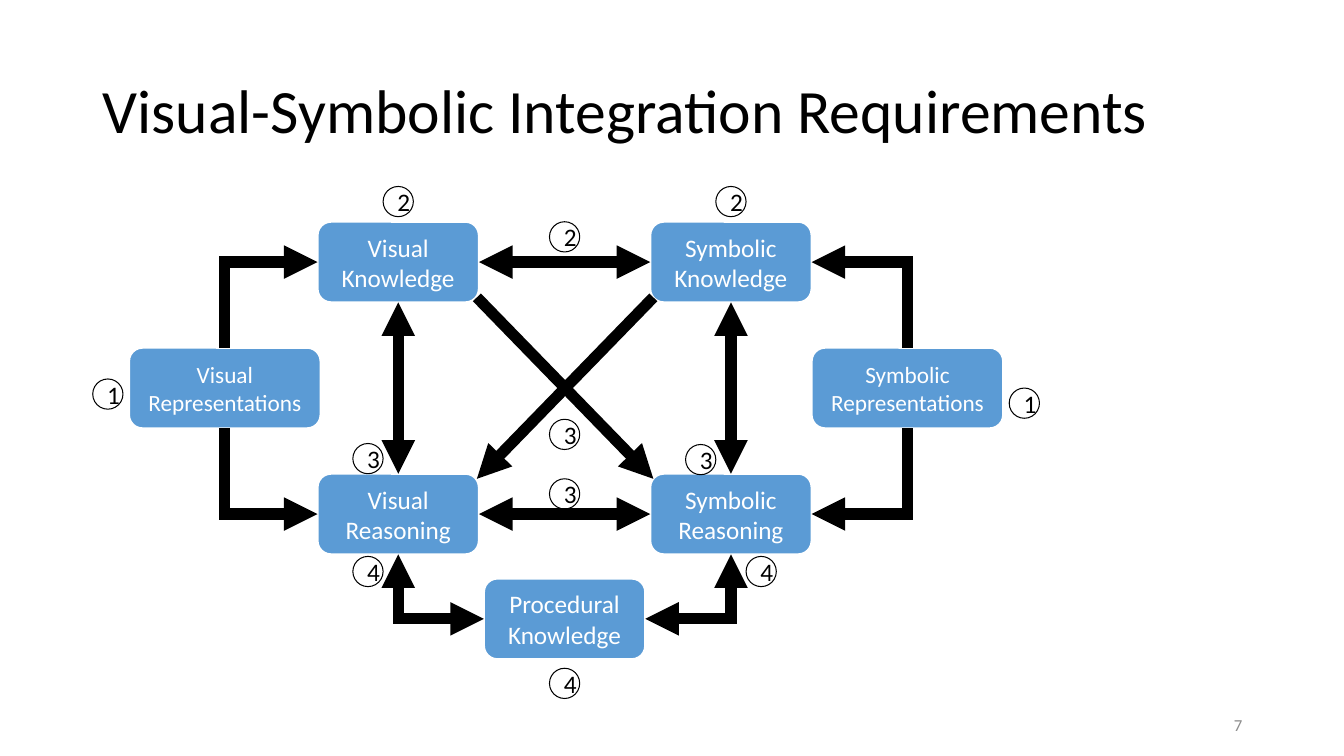
import pptx
import pptx.util
import pptx.dml.color
import pptx.enum.shapes
import pptx.enum.text
import pptx.oxml
import pptx.oxml.ns

SHAPE = pptx.enum.shapes.MSO_SHAPE
CONNECTOR = pptx.enum.shapes.MSO_CONNECTOR
ALIGN = pptx.enum.text.PP_ALIGN
TOP, LEFT, BOTTOM, RIGHT = range(4)


class Diagram:
    EMU_PER_PX = 9144
    FONT = "Calibri"
    COLORS = {"ink": "000000", "paper": "FFFFFF", "box": "5B9BD5", "number": "8C8C8C"}

    def __init__(self, width, height):
        self.deck = pptx.Presentation()
        self.deck.slide_width = self.px(width)
        self.deck.slide_height = self.px(height)
        self.slide = self.deck.slides.add_slide(self.deck.slide_layouts[5])

    def px(self, length):
        return pptx.util.Emu(length * self.EMU_PER_PX)

    def color(self, name):
        return pptx.dml.color.RGBColor.from_string(self.COLORS[name])

    def label(self, frame, text, size, color, align):
        frame.word_wrap = True
        frame.vertical_anchor = pptx.enum.text.MSO_ANCHOR.MIDDLE
        frame.text = text
        paragraph = frame.paragraphs[0]
        paragraph.alignment = align
        paragraph.font.name = self.FONT
        paragraph.font.size = pptx.util.Pt(size)
        paragraph.font.color.rgb = self.color(color)
        return paragraph

    def title(self, text, left, top, width, height):
        heading = self.slide.shapes.title
        heading.left, heading.top = self.px(left), self.px(top)
        heading.width, heading.height = self.px(width), self.px(height)
        heading.text_frame.auto_size = pptx.enum.text.MSO_AUTO_SIZE.NONE
        self.label(heading.text_frame, text, 44, "ink", ALIGN.LEFT).line_spacing = 0.9

    def page_number(self, text, left, top, width, height):
        number = self.slide.shapes.add_textbox(*map(self.px, (left, top, width, height)))
        self.label(number.text_frame, text, 12, "number", ALIGN.RIGHT)

    def shape(self, kind, left, top, width, height, line, line_width):
        shape = self.slide.shapes.add_shape(kind, *map(self.px, (left, top, width, height)))
        shape.shadow.inherit = False
        shape.line.color.rgb = self.color(line)
        shape.line.width = pptx.util.Pt(line_width)
        return shape

    def box(self, text, left, top, width=160, size=18):
        box = self.shape(SHAPE.ROUNDED_RECTANGLE, left, top, width, 80, "paper", 1.5)
        box.fill.solid()
        box.fill.fore_color.rgb = self.color("box")
        self.label(box.text_frame, text, size, "paper", ALIGN.CENTER)
        return box

    def badge(self, text, left, top):
        badge = self.shape(SHAPE.OVAL, left, top, 30, 30, "ink", 0.75)
        badge.fill.background()
        self.label(badge.text_frame, text, 18, "ink", ALIGN.CENTER)

    def connector(self, kind, ends, *arrows):
        connector = self.slide.shapes.add_connector(kind, *map(self.px, ends))
        connector.line.color.rgb = self.color("ink")
        connector.line.width = pptx.util.Pt(8)
        namespace = pptx.oxml.ns.nsdecls("a")
        outline = connector.line._get_or_add_ln()
        outline.append(pptx.oxml.parse_xml(f'<a:miter {namespace} lim="800000"/>'))
        for arrow in arrows:
            outline.append(pptx.oxml.parse_xml(f'<a:{arrow} {namespace} type="triangle"/>'))
        connector._element.spPr.append(pptx.oxml.parse_xml(f"<a:effectLst {namespace}/>"))
        return connector

    def link(self, kind, start, start_side, end, end_side, *arrows):
        connector = self.connector(kind, (0, 0, 0, 0), *arrows)
        connector.begin_connect(start, start_side)
        connector.end_connect(end, end_side)
        return connector

    def both_ways(self, start, start_side, end, end_side):
        self.link(CONNECTOR.STRAIGHT, start, start_side, end, end_side, "headEnd", "tailEnd")

    def corner(self, start, start_side, end, end_side, *arrows):
        elbow = self.link(CONNECTOR.ELBOW, start, start_side, end, end_side, *arrows)
        elbow._element.spPr.prstGeom.set("prst", "bentConnector2")

    def diagonal(self, *ends):
        self.connector(CONNECTOR.STRAIGHT, ends, "tailEnd")


def main():
    diagram = Diagram(1333, 750)
    diagram.title("Visual-Symbolic Integration Requirements", 92, 40, 1150, 145)
    diagram.page_number("7", 942, 699, 300, 40)

    procedural = diagram.box("Procedural Knowledge", 480, 574)
    columns = []
    for kind, left, outer_left, outer, inner in (
        ("Visual", 315, 128, LEFT, RIGHT),
        ("Symbolic", 645, 805, RIGHT, LEFT),
    ):
        knowledge = diagram.box(f"{kind} Knowledge", left, 220)
        reasoning = diagram.box(f"{kind} Reasoning", left, 470)
        representations = diagram.box(f"{kind} Representations", outer_left, 345, 190, 16.6)
        diagram.corner(knowledge, outer, representations, TOP, "headEnd")
        diagram.corner(reasoning, outer, representations, BOTTOM, "headEnd")
        diagram.both_ways(knowledge, BOTTOM, reasoning, TOP)
        diagram.corner(procedural, outer, reasoning, BOTTOM, "headEnd", "tailEnd")
        columns.append((knowledge, reasoning, inner))

    (*visuals, visual_side), (*symbolics, symbolic_side) = columns
    for visual, symbolic in zip(visuals, symbolics):
        diagram.both_ways(visual, visual_side, symbolic, symbolic_side)
    diagram.diagonal(473, 295, 648, 475)
    diagram.diagonal(648, 295, 473, 475)

    badges = {
        "1": [(92, 376), (1001, 385)],
        "2": [(380, 185), (710, 185), (545, 220)],
        "3": [(350, 440), (680, 441), (545, 416), (545, 475)],
        "4": [(350, 552), (740, 552), (545, 663)],
    }
    for number, places in badges.items():
        for place in places:
            diagram.badge(number, *place)

    diagram.deck.save("out.pptx")


if __name__ == "__main__":
    main()
